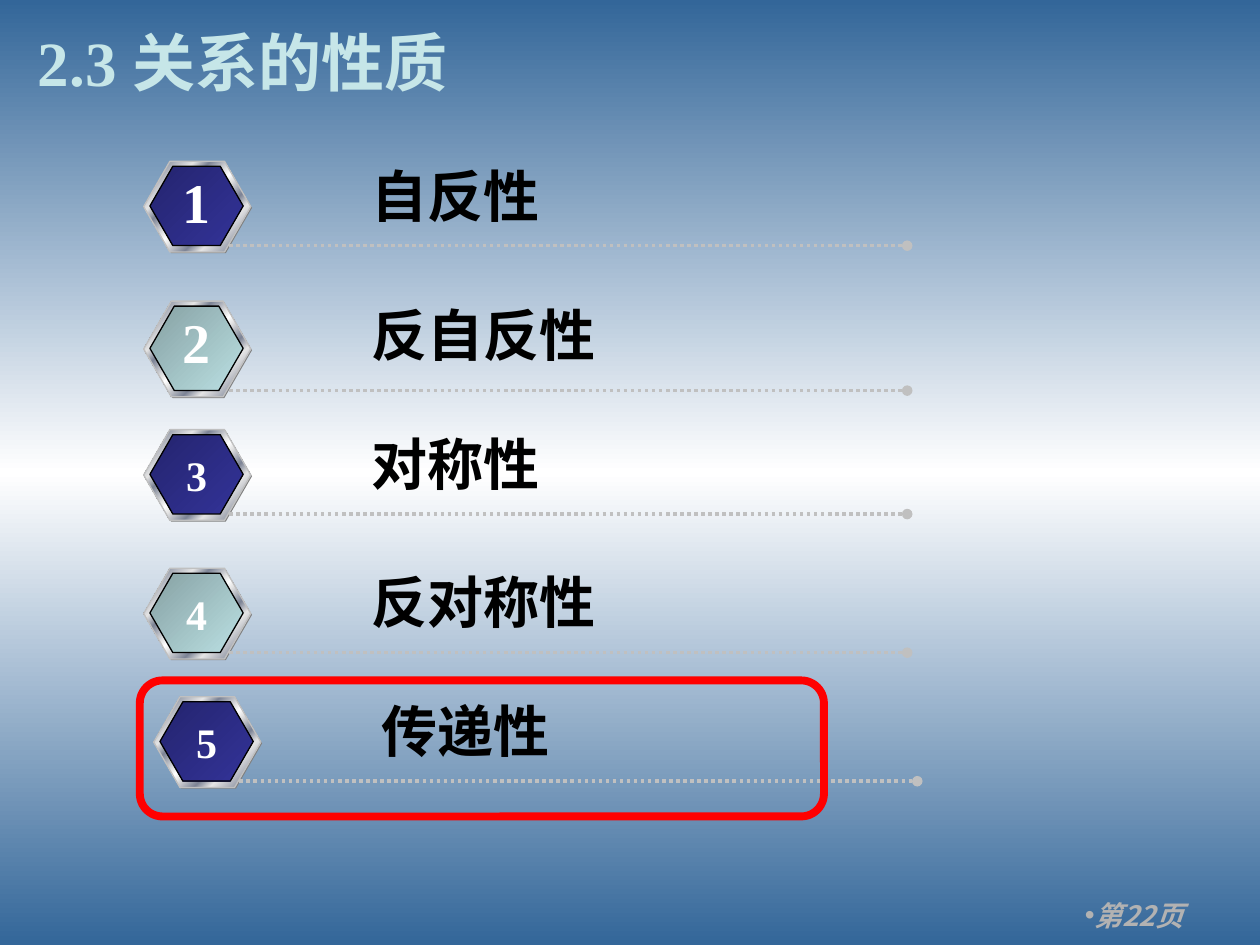
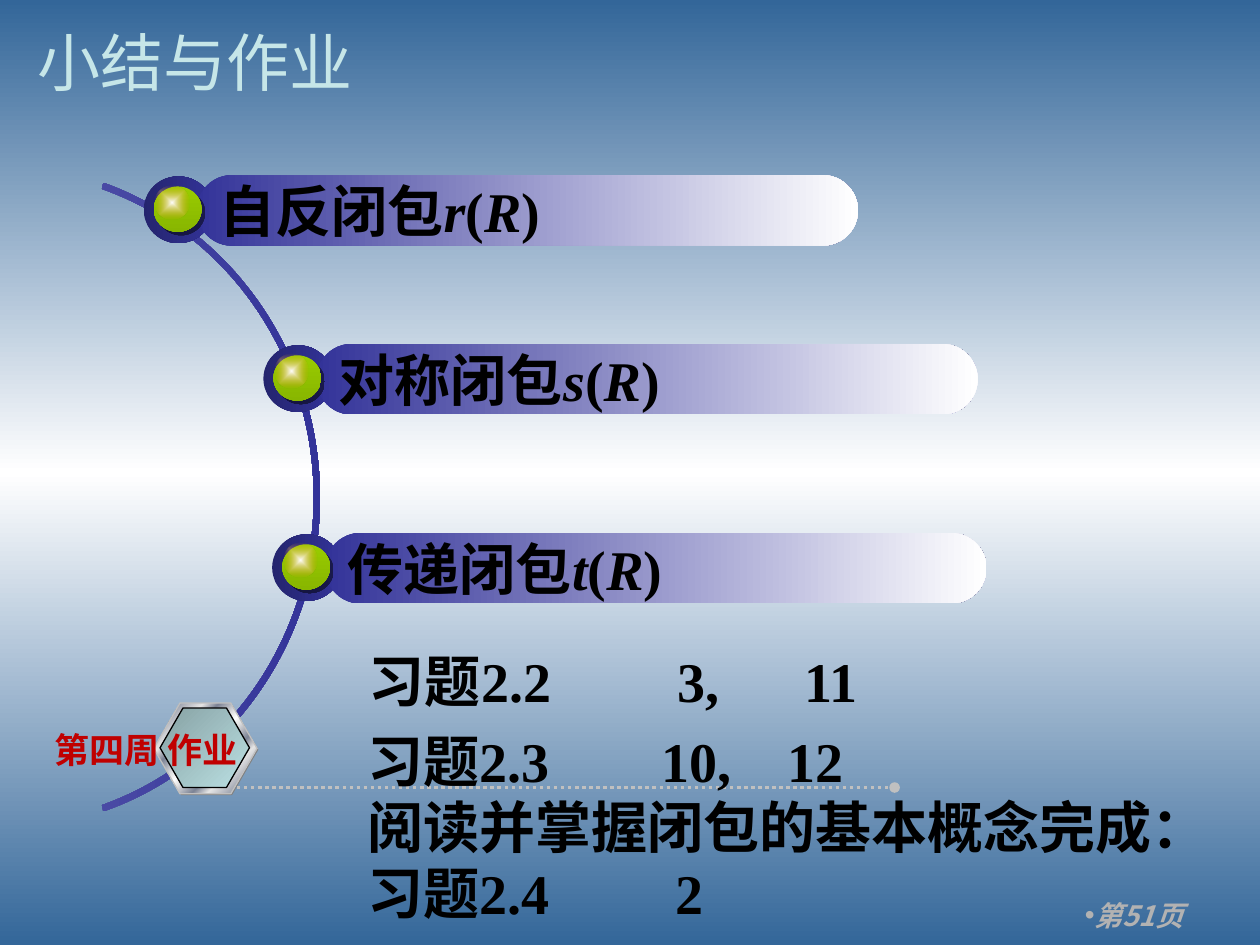
from lxml import etree
from pptx import Presentation
from pptx.dml.color import RGBColor
from pptx.enum.dml import MSO_LINE
from pptx.enum.shapes import MSO_CONNECTOR, MSO_SHAPE
from pptx.enum.text import MSO_ANCHOR, PP_ALIGN
from pptx.oxml.ns import qn
from pptx.util import Inches, Pt

HEXAGON, ELLIPSE, ROUNDED = MSO_SHAPE.HEXAGON, MSO_SHAPE.OVAL, MSO_SHAPE.ROUNDED_RECTANGLE
STRAIGHT, DOTTED = MSO_CONNECTOR.STRAIGHT, MSO_LINE.ROUND_DOT
LEFT, CENTER, RIGHT = PP_ALIGN.LEFT, PP_ALIGN.CENTER, PP_ALIGN.RIGHT
MIDDLE = MSO_ANCHOR.MIDDLE

# The slide is a grid of 10 columns by 7.5 rows
COLUMNS, ROWS = 10, 7.5
WIDTH, HEIGHT = Inches(10), Inches(7.5)

COLORS = {
    "sky": "336699", "white": "FFFFFF", "black": "000000", "title": "C6E6E8",
    "footer": "B2B2B2", "silver": "C0C0C0", "grey": "808080",
    "shine": "E6E6E6", "steel": "7D8496",
    "indigo": "333399", "lilac": "7878BC", "aqua": "BBE0E3",
    "lime": "99CC00", "amber": "E9940B",
    "red": "FF0000", "homework": "C00000",
}
SERIF, SANS, CHINESE = "Times New Roman", "Arial", "Noto Sans CJK SC"

# Gradient stops: position, colour and, if any, a change of it in percent
SKY = [(0, "sky"), (50, "white"), (100, "sky")]
METAL = [(0, "shine"), (8, "steel"), (26, "shine"), (34, "steel"), (46, "shine"),
         (50, "white"), (54, "shine"), (66, "steel"), (74, "shine"),
         (92, "steel"), (100, "shine")]
NAVY = [(0, "indigo", ("shade", 47)), (100, "indigo")]
AQUA = [(0, "aqua", ("shade", 47)), (100, "aqua")]
FADE = [(0, "indigo"), (100, "white")]
LIME = [(0, "lime"), (100, "lime", ("shade", 77))]
GLINT = [(0, "white"), (100, "amber", ("alpha", 0))]
ARC = [(0, "lilac"), (100, "indigo")]

HEADING = {"size": 32, "bold": True, "color": "black", "name": SERIF}


def across(columns):
    return round(WIDTH * columns / COLUMNS)


def down(rows):
    return round(HEIGHT * rows / ROWS)


def frame(left, top, width, height):
    return across(left), down(top), across(width), down(height)


def color(name):
    return RGBColor.from_string(COLORS[name])


def add_xml(parent, tag, **values):
    child = etree.SubElement(parent, qn(tag))
    for key, value in values.items():
        child.set(key, str(value))
    return child


# Fills and outlines
def paint_gradient(owner, fill, stops, angle=None):
    """Linear at the angle given; without one, from the centre outwards."""
    fill.gradient()
    gradient = owner.element.find(".//" + qn("a:gradFill"))
    for child in list(gradient):
        gradient.remove(child)
    stop_list = add_xml(gradient, "a:gsLst")
    for position, name, *changes in stops:
        stop = add_xml(stop_list, "a:gs", pos=position * 1000)
        tint = add_xml(stop, "a:srgbClr", val=COLORS[name])
        for change, percent in changes:
            add_xml(tint, "a:" + change, val=percent * 1000)
    if angle is None:
        outward = add_xml(gradient, "a:path", path="shape")
        add_xml(outward, "a:fillToRect", l=50000, t=50000, r=50000, b=50000)
    else:
        add_xml(gradient, "a:lin", ang=angle * 60000, scaled=0)


def style_shape(shape, fill=None, angle=None, line=None, weight=0.75):
    shape.shadow.inherit = False
    if fill is None:
        shape.fill.background()
    elif isinstance(fill, str):
        shape.fill.solid()
        shape.fill.fore_color.rgb = color(fill)
    else:
        paint_gradient(shape, shape.fill, fill, angle)
    if line:
        shape.line.color.rgb = color(line)
        shape.line.width = Pt(weight)
    else:
        shape.line.fill.background()
    return shape


def add_figure(page, kind, place, adjust=None, **look):
    shape = page.shapes.add_shape(kind, *frame(*place))
    if adjust is not None:
        shape.adjustments[0] = adjust
    return style_shape(shape, **look)


# Text
def write(para, spans, look, align=LEFT):
    para.alignment = align
    for text, changes in spans:
        span = para.add_run()
        span.text = text
        values = {**look, **changes}
        span.font.color.rgb = color(values.pop("color"))
        span.font.size = Pt(values.pop("size"))
        for key, value in values.items():
            setattr(span.font, key, value)
        add_xml(span.font._element, "a:ea", typeface=CHINESE)


def add_text(page, place, spans, look, align=LEFT, inset=0.1):
    box = page.shapes.add_textbox(*frame(*place))
    text = box.text_frame
    text.word_wrap = True
    text.vertical_anchor = MIDDLE
    text.margin_left = text.margin_right = across(inset)
    write(text.paragraphs[0], spans, look, align)
    return text


def add_tabs(para, stops):
    tab_list = add_xml(para._p.get_or_add_pPr(), "a:tabLst")
    for stop in stops:
        add_xml(tab_list, "a:tab", pos=across(stop), algn="l")


# Parts that both slides share
def start_page(deck, title_spans, number):
    page = deck.slides.add_slide(deck.slide_layouts[5])
    title = page.shapes.title
    title.left, title.top, title.width, title.height = frame(0.2, 0.13, 9.61, 0.71)
    title.text_frame.vertical_anchor = MIDDLE
    write(title.text_frame.paragraphs[0], title_spans,
          {"size": 36, "color": "title", "name": SANS, "bold": False})
    footer = add_text(page, (8.39, 7.08, 1.1, 0.37), [(f"第{number}页", {})],
                      {"size": 16, "color": "footer", "name": CHINESE,
                       "italic": True, "bold": True}, RIGHT)
    bullet = footer.paragraphs[0]._p.get_or_add_pPr()
    bullet.set("marL", "0")
    bullet.set("indent", "0")
    add_xml(bullet, "a:buFont", typeface=SANS)
    add_xml(bullet, "a:buChar", char="•")
    return page


def add_medal(page, left, top, width, height, face):
    add_figure(page, HEXAGON, (left + 0.01, top + 0.01, width, height), 0.289, fill="grey")
    add_figure(page, HEXAGON, (left, top, width, height), 0.289,
               fill=METAL, angle=45, line="silver")
    add_figure(page, HEXAGON, (left + 0.05, top + 0.04, width - 0.11, height - 0.09), 0.289,
               fill=face, angle=45, line="black")


def add_dotted_line(page, left, right, top):
    rule = page.shapes.add_connector(STRAIGHT, across(left), down(top), across(right), down(top))
    rule.line.color.rgb = color("silver")
    rule.line.width = Pt(2)
    rule.line.dash_style = DOTTED
    properties = rule.element.spPr
    add_xml(properties.find(qn("a:ln")), "a:tailEnd", type="oval")
    add_xml(properties, "a:effectLst")


# Slide of relation properties
def add_property(page, number, label, left, top, height, size):
    add_medal(page, left, top, 0.85, height, NAVY if number % 2 else AQUA)
    add_dotted_line(page, left + 0.68, left + 6.06, top + height - 0.05)
    add_text(page, (left + 1.71, top - 0.05, 0.46 * len(label) + 0.17, 0.63),
             [(label, {})], HEADING)
    tall = 0.63 if size == 32 else 0.5
    middle = top + (0.32 if size == 32 else 0.36)
    add_text(page, (left + 0.21, middle - tall / 2, 0.42, tall), [(str(number), {})],
             {**HEADING, "size": size, "color": "white"}, CENTER, inset=0)


def build_properties(deck):
    page = start_page(deck, [("2.3 ", {"name": SERIF, "bold": True}),
                             ("关系的性质", {"bold": True})], 22)
    properties = [
        ("自反性", 1.14, 1.28, 0.72, 32),
        ("反自反性", 1.14, 2.39, 0.76, 32),
        ("对称性", 1.14, 3.41, 0.72, 24),
        ("反对称性", 1.14, 4.51, 0.72, 24),
        ("传递性", 1.22, 5.53, 0.72, 24),
    ]
    for number, values in enumerate(properties, 1):
        add_property(page, number, *values)
    add_figure(page, ROUNDED, (1.11, 5.4, 5.43, 1.08), 0.167, line="red", weight=4.5)


# Slide of summary and homework
def add_arc(page):
    left, top, width, height = 5.08 / -2, 1.31, 5.08, 5.28
    steps = [
        ("moveTo", [(0.81, 1.5)]),
        ("cubicBezTo", [(1.82, 1.86), (2.49, 2.84), (2.49, 3.95)]),
        ("cubicBezTo", [(2.49, 5.05), (1.82, 6.03), (0.81, 6.39)]),
        ("lnTo", [(0.82, 6.44)]),
        ("cubicBezTo", [(1.85, 6.08), (2.54, 5.07), (2.54, 3.95)]),
        ("cubicBezTo", [(2.54, 2.82), (1.85, 1.82), (0.82, 1.45)]),
    ]
    corners = [(across(x), down(y)) for x, y in (points[-1] for _, points in steps)]
    builder = page.shapes.build_freeform(*corners[0])
    builder.add_line_segments(corners[1:])
    arc = builder.convert_to_shape()
    arc.left, arc.top, arc.width, arc.height = frame(left, top, width, height)
    # Bend the outline into curves
    outline = arc.element.find(".//" + qn("a:pathLst"))[0]
    for child in list(outline):
        outline.remove(child)
    outline.set("w", str(across(width)))
    outline.set("h", str(down(height)))
    for step, points in steps:
        part = add_xml(outline, "a:" + step)
        for x, y in points:
            add_xml(part, "a:pt", x=across(x - left), y=down(y - top))
    add_xml(outline, "a:close")
    style_shape(arc, fill=ARC, angle=0)


def add_closure(page, left, top, label, letter):
    add_figure(page, ELLIPSE, (left, top, 0.55, 0.53), fill=NAVY, angle=0)
    bar = add_figure(page, ROUNDED, (left + 0.42, top - 0.01, 5.25, 0.56), 0.5,
                     fill=FADE, angle=0)
    bar.text_frame.vertical_anchor = MIDDLE
    bar.text_frame.word_wrap = True
    italic = {"italic": True}
    write(bar.text_frame.paragraphs[0],
          [(label, {}), (letter, italic), ("(", {}), ("R", italic), (")", {})], HEADING)
    ball = add_figure(page, ELLIPSE, (left + 0.08, top + 0.08, 0.38, 0.36),
                      fill=LIME, angle=90)
    shadow = add_xml(ball.element.spPr.find(qn("a:effectLst")), "a:outerShdw",
                     blurRad=0, dist=Pt(2.8), dir=45 * 60000, algn="ctr", rotWithShape=0)
    add_xml(add_xml(shadow, "a:srgbClr", val=COLORS["black"]), "a:alpha", val=50000)
    add_figure(page, ELLIPSE, (left + 0.09, top + 0.07, 0.27, 0.27), fill=GLINT)


def add_homework(page):
    add_medal(page, 1.22, 5.58, 0.82, 0.72, AQUA)
    add_dotted_line(page, 1.88, 7.1, 6.25)
    add_text(page, (0.32, 5.73, 1.68, 0.44), [("第四周 作业", {})],
             {**HEADING, "size": 20, "color": "homework"}, CENTER, inset=0)
    tasks = add_text(page, (2.82, 5.7, 6.96, 1.72), [("习题2.3\t10,\t12", {})], HEADING)
    for line in ("阅读并掌握闭包的基本概念完成：", "习题2.4\t2"):
        write(tasks.add_paragraph(), [(line, {})], HEADING)
    for para, stops in zip(tasks.paragraphs, [(2.33, 3.33), (), (2.44,)]):
        para.line_spacing = Pt(37.7)
        if stops:
            add_tabs(para, stops)
    first = add_text(page, (2.83, 5.08, 4.44, 0.64), [("习题2.2\t3,\t11", {})], HEADING)
    add_tabs(first.paragraphs[0], (2.45, 3.46))


def build_summary(deck):
    page = start_page(deck, [("小结与作业", {})], 51)
    add_arc(page)
    for closure in [(1.14, 1.4, "自反闭包", "r"), (2.09, 2.74, "对称闭包", "s"),
                    (2.16, 4.24, "传递闭包", "t")]:
        add_closure(page, *closure)
    add_homework(page)


def main():
    deck = Presentation()
    deck.slide_width, deck.slide_height = WIDTH, HEIGHT
    master = deck.slide_master
    paint_gradient(master, master.background.fill, SKY, 90)
    build_properties(deck)
    build_summary(deck)
    deck.save("out.pptx")


if __name__ == "__main__":
    main()
